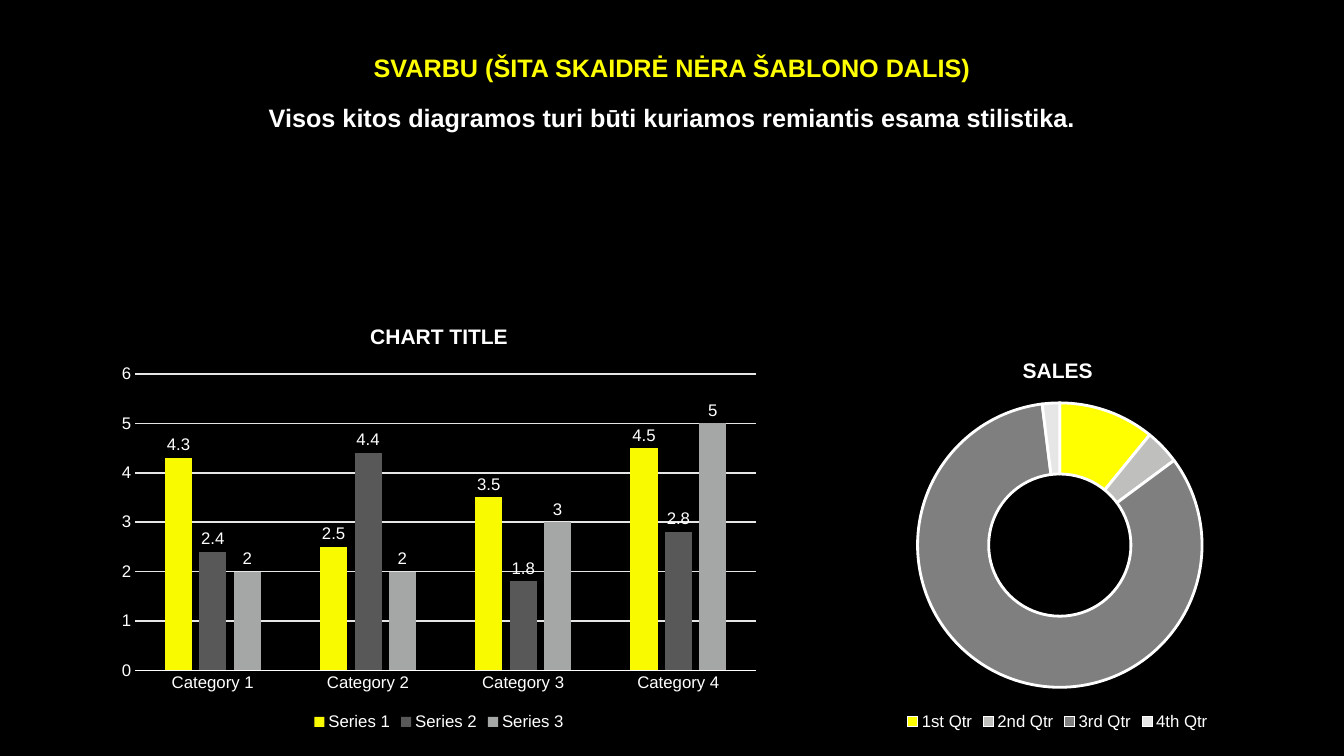
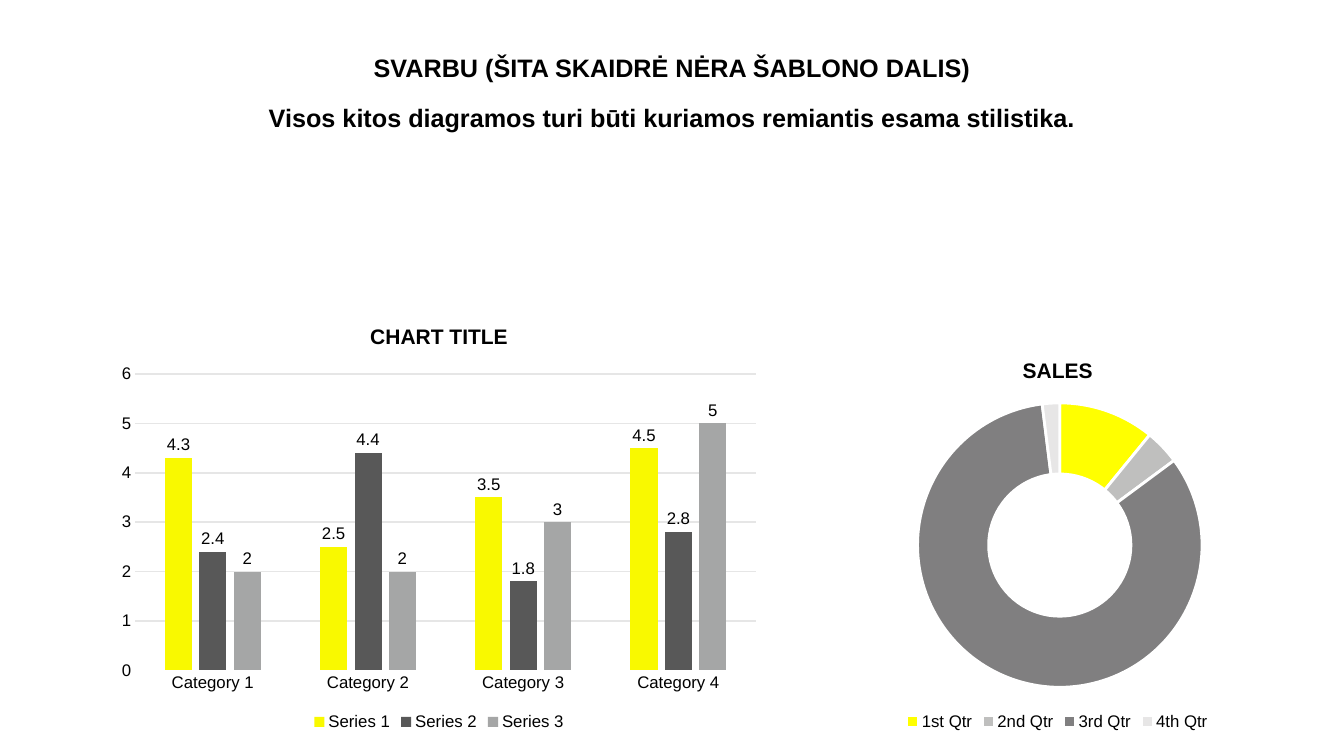
from lxml import etree
from pptx import Presentation
from pptx.chart.data import CategoryChartData
from pptx.dml.color import RGBColor
from pptx.enum.chart import XL_CHART_TYPE, XL_LABEL_POSITION, XL_LEGEND_POSITION, XL_TICK_MARK
from pptx.enum.text import MSO_AUTO_SIZE, PP_ALIGN
from pptx.oxml.ns import qn
from pptx.util import Inches, Pt

FONT = "Arial"
WHITE = "FFFFFF"
GRID = "E6E6E6"

THEMES = [
    {"background": "000000", "heading": "FFFF00", "text": WHITE},
    {"background": WHITE, "heading": "000000", "text": "000000"},
]

HEADING = "SVARBU (ŠITA SKAIDRĖ NĖRA ŠABLONO DALIS)"
MESSAGE = "Visos kitos diagramos turi būti kuriamos remiantis esama stilistika."
MESSAGE_BOX = (1.4, 0.44, 10.53, 0.91)

COLUMNS = {
    "type": XL_CHART_TYPE.COLUMN_CLUSTERED,
    "title": "CHART TITLE",
    "box": (1.08, 3.03, 6.55, 4.26),
    "plot": (0.04, 0.16, 0.94, 0.69),
    "categories": ["Category 1", "Category 2", "Category 3", "Category 4"],
    "series": [
        ("Series 1", (4.3, 2.5, 3.5, 4.5)),
        ("Series 2", (2.4, 4.4, 1.8, 2.8)),
        ("Series 3", (2, 2, 3, 5)),
    ],
    "colors": ["F9F900", "585858", "A5A6A6"],
}
DOUGHNUT = {
    "type": XL_CHART_TYPE.DOUGHNUT,
    "title": "SALES",
    "box": (8.3, 3.37, 4.38, 3.92),
    "plot": (0.18, 0.16, 0.65, 0.72),
    "categories": ["1st Qtr", "2nd Qtr", "3rd Qtr", "4th Qtr"],
    "series": [("Series 1", (11, 4, 84, 2))],
    "colors": ["FFFF00", "BFBFBE", "807F80", "E7E6E6"],
}


def rgb(color):
    return RGBColor.from_string(color)


def fill_solid(fill, color):
    fill.solid()
    fill.fore_color.rgb = rgb(color)


def style_font(font, size, color, bold=False):
    font.name = FONT
    font.size = Pt(size)
    font.bold = bold
    font.color.rgb = rgb(color)


def place_plot(chart, plot_box):
    plot_area = chart.element.find(".//" + qn("c:plotArea"))
    for layout in plot_area.findall(qn("c:layout")):
        plot_area.remove(layout)
    layout = etree.Element(qn("c:layout"))
    manual = etree.SubElement(layout, qn("c:manualLayout"))
    settings = [("layoutTarget", "inner"), ("xMode", "edge"), ("yMode", "edge")]
    settings += zip("xywh", plot_box)
    for tag, value in settings:
        etree.SubElement(manual, qn("c:" + tag)).set("val", str(value))
    plot_area.insert(0, layout)


def add_message(slide, theme):
    frame = slide.shapes.add_textbox(*map(Inches, MESSAGE_BOX)).text_frame
    frame.word_wrap = True
    frame.auto_size = MSO_AUTO_SIZE.SHAPE_TO_FIT_TEXT
    lines = [(HEADING, theme["heading"]), (MESSAGE, theme["text"])]
    for index, (text, color) in enumerate(lines):
        paragraph = frame.add_paragraph() if index else frame.paragraphs[0]
        paragraph.alignment = PP_ALIGN.CENTER
        paragraph.line_spacing = 1.1
        paragraph.space_after = Pt(12)
        run = paragraph.add_run()
        run.text = text
        style_font(run.font, 18, color, bold=True)


def add_chart(slide, content, color):
    data = CategoryChartData()
    data.categories = content["categories"]
    for name, values in content["series"]:
        data.add_series(name, values)
    box = map(Inches, content["box"])
    chart = slide.shapes.add_chart(content["type"], *box, data).chart
    style_font(chart.font, 12, color)
    chart.has_title = True
    run = chart.chart_title.text_frame.paragraphs[0].add_run()
    run.text = content["title"]
    style_font(run.font, 15, color, bold=True)
    chart.has_legend = True
    chart.legend.position = XL_LEGEND_POSITION.BOTTOM
    chart.legend.include_in_layout = False
    style_font(chart.legend.font, 12, color)
    place_plot(chart, content["plot"])
    return chart


def add_columns(slide, color):
    chart = add_chart(slide, COLUMNS, color)
    plot = chart.plots[0]
    plot.vary_by_categories = False
    plot.gap_width = 219
    plot.overlap = -27
    for series, fill in zip(plot.series, COLUMNS["colors"]):
        fill_solid(series.format.fill, fill)
    plot.has_data_labels = True
    plot.data_labels.show_value = True
    plot.data_labels.position = XL_LABEL_POSITION.OUTSIDE_END
    style_font(plot.data_labels.font, 12, color)
    for axis in (chart.category_axis, chart.value_axis):
        axis.major_tick_mark = XL_TICK_MARK.NONE
        axis.minor_tick_mark = XL_TICK_MARK.NONE
        style_font(axis.tick_labels.font, 12, color)
    category_line = chart.category_axis.format.line
    category_line.width = Pt(0.75)
    category_line.color.rgb = rgb(WHITE)
    chart.value_axis.format.line.fill.background()
    grid_line = chart.value_axis.major_gridlines.format.line
    grid_line.width = Pt(1)
    grid_line.color.rgb = rgb(GRID)
    chart.value_axis.minimum_scale = 0
    chart.value_axis.maximum_scale = 6
    chart.value_axis.major_unit = 1


def add_doughnut(slide, color):
    chart = add_chart(slide, DOUGHNUT, color)
    plot = chart.plots[0]
    plot.vary_by_categories = True
    plot.has_data_labels = False
    chart.element.find(".//" + qn("c:holeSize")).set("val", "75")
    for index, fill in enumerate(DOUGHNUT["colors"]):
        point_format = plot.series[0].points[index].format
        fill_solid(point_format.fill, fill)
        point_format.line.width = Pt(2)
        point_format.line.color.rgb = rgb(WHITE)


def main():
    presentation = Presentation()
    presentation.slide_width = Inches(13.33)
    presentation.slide_height = Inches(7.5)
    for theme in THEMES:
        slide = presentation.slides.add_slide(presentation.slide_layouts[6])
        fill_solid(slide.background.fill, theme["background"])
        add_message(slide, theme)
        add_columns(slide, theme["text"])
        add_doughnut(slide, theme["text"])
    presentation.save("out.pptx")


if __name__ == "__main__":
    main()
